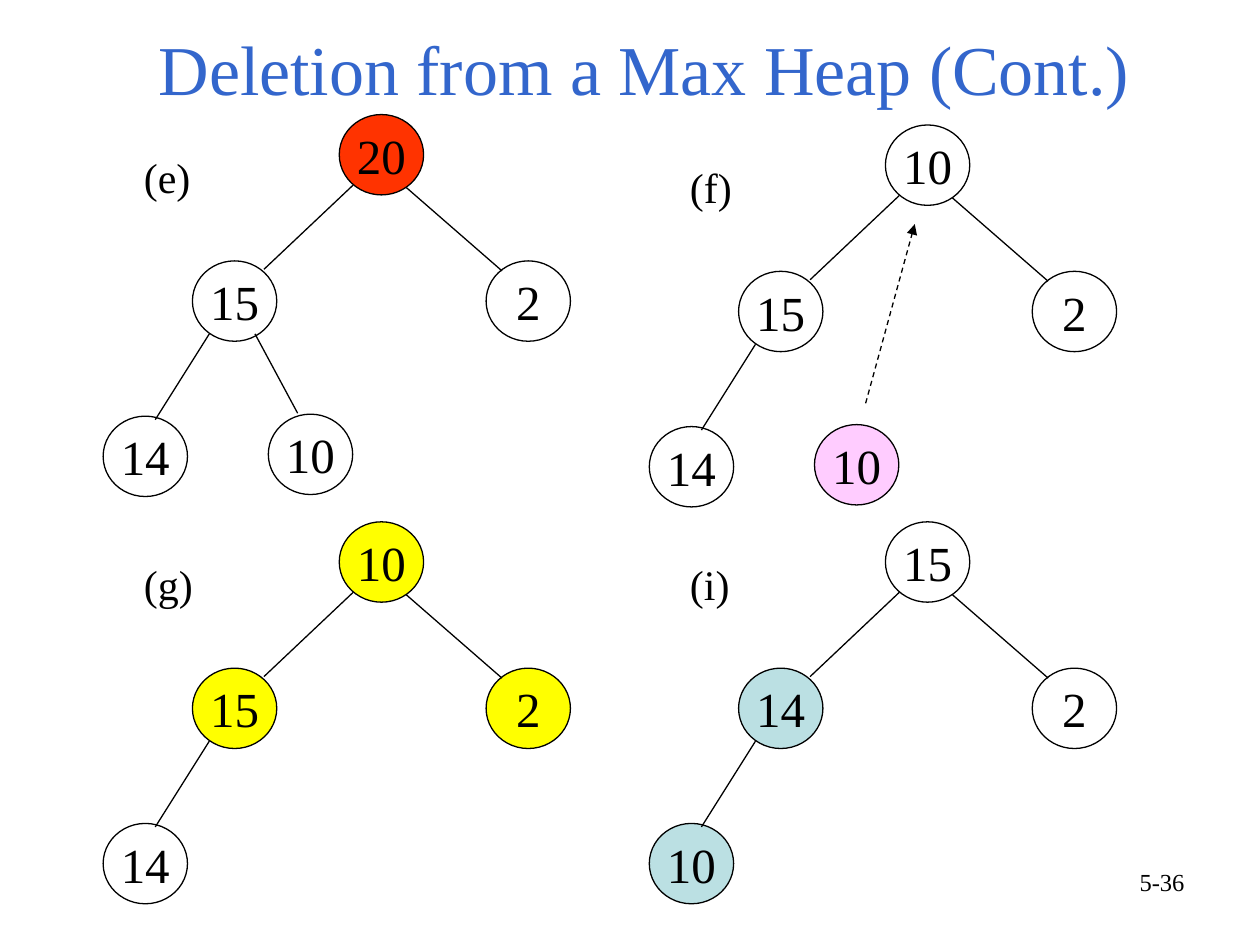
from dataclasses import dataclass, field

from lxml.etree import SubElement
from pptx import Presentation
from pptx.dml.color import RGBColor
from pptx.enum.dml import MSO_LINE_DASH_STYLE as Dash
from pptx.enum.shapes import MSO_CONNECTOR as Connector, MSO_SHAPE as Shape
from pptx.enum.text import MSO_ANCHOR as Anchor, PP_ALIGN as Align
from pptx.oxml.ns import qn
from pptx.util import Cm, Pt


@dataclass(frozen=True)
class Theme:
    font: str = "Times New Roman"
    title_color: str = "3366CC"
    ink: str = "000000"
    removed: str = "FF3300"
    moved: str = "FFCCFF"
    compared: str = "FFFF00"
    swapped: str = "BBE0E3"
    title_size: int = 40
    node_size: int = 28
    label_size: int = 24
    number_size: int = 14
    line_width: float = 0.75


THEME = Theme()
Point = tuple[float, float]

# Lengths in centimetres; positions are relative to the root node's top left
NODE_WIDTH, NODE_HEIGHT = 1.7, 1.62
LABEL_OFFSET: Point = (-4.19, 0.61)
NODE_OFFSETS: dict[str, Point] = {
    "root": (0, 0),
    "left": (-2.96, 2.95),
    "right": (2.96, 2.95),
    "left_left": (-4.76, 6.08),
    "left_right": (-1.43, 6.04),
}
EDGES: dict[str, tuple[Point, Point]] = {
    "left": ((0.28, 1.42), (-1.52, 3.12)),
    "right": ((1.35, 1.47), (3.28, 3.15)),
    "left_left": ((-2.62, 4.42), (-3.71, 6.15)),
    "left_right": ((-1.7, 4.42), (-0.84, 6.02)),
}


@dataclass(frozen=True)
class Heap:
    label: str
    origin: Point
    values: dict[str, int]
    fills: dict[str, str] = field(default_factory=dict)
    detached: tuple[str, ...] = ()


HEAPS = [
    Heap("(e)", (6.84, 2.31),
         {"root": 20, "left": 15, "right": 2, "left_left": 14, "left_right": 10},
         {"root": THEME.removed}),
    Heap("(f)", (17.85, 2.52),
         {"root": 10, "left": 15, "right": 2, "left_left": 14, "left_right": 10},
         {"left_right": THEME.moved}, detached=("left_right",)),
    Heap("(g)", (6.84, 10.52),
         {"root": 10, "left": 15, "right": 2, "left_left": 14},
         dict.fromkeys(("root", "left", "right"), THEME.compared)),
    Heap("(i)", (17.85, 10.52),
         {"root": 15, "left": 14, "right": 2, "left_left": 10},
         dict.fromkeys(("left", "left_left"), THEME.swapped)),
]


def shift(origin: Point, offset: Point) -> Point:
    return origin[0] + offset[0], origin[1] + offset[1]


def set_text(shape, text: str, size: int, align: Align, color: str = THEME.ink) -> None:
    shape.text_frame.text = text
    paragraph = shape.text_frame.paragraphs[0]
    paragraph.alignment = align
    font = paragraph.runs[0].font
    font.name, font.size = THEME.font, Pt(size)
    font.color.rgb = RGBColor.from_string(color)


def style_line(line) -> None:
    line.color.rgb = RGBColor.from_string(THEME.ink)
    line.width = Pt(THEME.line_width)


def add_node(slide, position: Point, value: int, fill: str | None) -> None:
    node = slide.shapes.add_shape(
        Shape.OVAL, *map(Cm, position), Cm(NODE_WIDTH), Cm(NODE_HEIGHT))
    node.shadow.inherit = False
    if fill:
        node.fill.solid()
        node.fill.fore_color.rgb = RGBColor.from_string(fill)
    else:
        node.fill.background()
    style_line(node.line)
    set_text(node, str(value), THEME.node_size, Align.CENTER)
    node.text_frame.word_wrap = False
    node.text_frame.vertical_anchor = Anchor.MIDDLE


def add_line(slide, start: Point, end: Point):
    line = slide.shapes.add_connector(
        Connector.STRAIGHT, *map(Cm, start), *map(Cm, end))
    style_line(line.line)
    SubElement(line._element.spPr, qn("a:effectLst"))
    return line


def add_move_arrow(slide, start: Point, end: Point) -> None:
    arrow = add_line(slide, start, end)
    arrow.line.dash_style = Dash.DASH
    SubElement(arrow.line._get_or_add_ln(), qn("a:tailEnd"), type="triangle")


def add_text(slide, position: Point, size: Point, text: str,
             font_size: int, align: Align) -> None:
    box = slide.shapes.add_textbox(*map(Cm, position), *map(Cm, size))
    box.text_frame.word_wrap = True
    set_text(box, text, font_size, align)


def add_heap(slide, heap: Heap) -> None:
    for name, value in heap.values.items():
        add_node(slide, shift(heap.origin, NODE_OFFSETS[name]), value,
                 heap.fills.get(name))
    for name, (start, end) in EDGES.items():
        if name in heap.values and name not in heap.detached:
            add_line(slide, shift(heap.origin, start), shift(heap.origin, end))
    add_text(slide, shift(heap.origin, LABEL_OFFSET), (1.6, 1.27),
             heap.label, THEME.label_size, Align.LEFT)


def main() -> None:
    presentation = Presentation()
    presentation.slide_width, presentation.slide_height = Cm(25.4), Cm(19.05)
    slide = presentation.slides.add_slide(presentation.slide_layouts[5])

    # Title
    title = slide.shapes.title
    title.left, title.top, title.width, title.height = map(
        Cm, (1.9, 0.38, 22.17, 1.96))
    set_text(title, "Deletion from a Max Heap (Cont.)", THEME.title_size,
             Align.CENTER, THEME.title_color)
    title.text_frame.vertical_anchor = Anchor.BOTTOM

    # Four stages of the deletion
    for heap in HEAPS:
        add_heap(slide, heap)

    # Last node moving to the root in stage (f)
    add_move_arrow(slide, (17.45, 8.13), (18.44, 4.52))

    # Page number
    add_text(slide, (18.2, 17.35), (5.93, 1.32), "5-36",
             THEME.number_size, Align.RIGHT)

    presentation.save("out.pptx")


if __name__ == "__main__":
    main()
